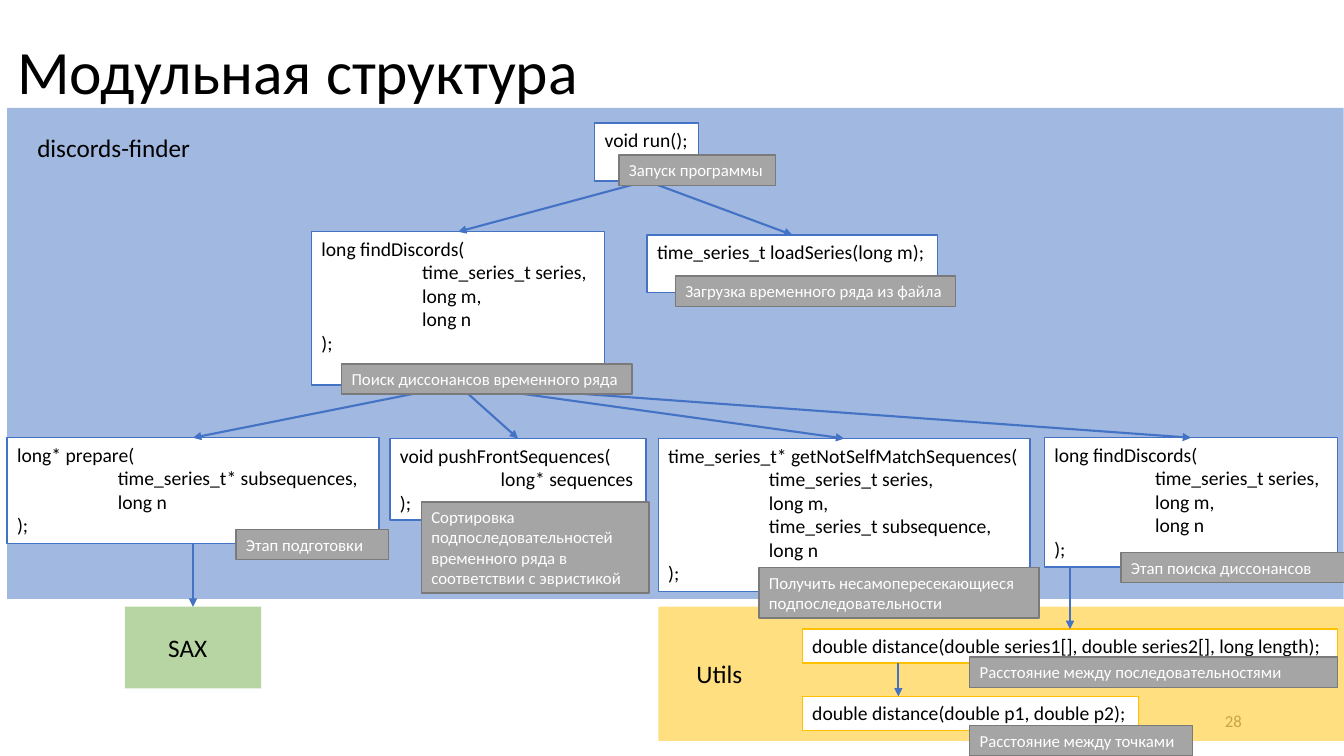
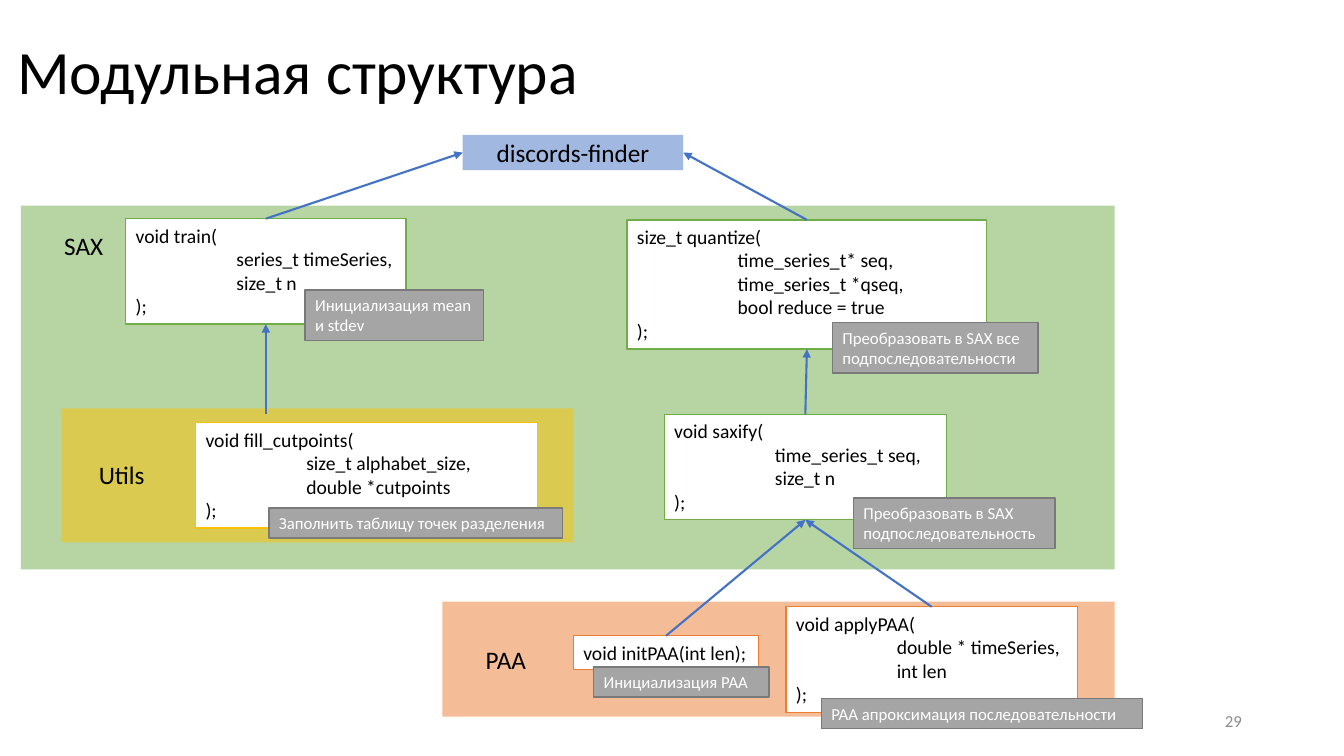
from dataclasses import dataclass

from lxml import etree
from pptx import Presentation
from pptx.dml.color import RGBColor
from pptx.enum.shapes import MSO_CONNECTOR, MSO_SHAPE
from pptx.enum.text import MSO_ANCHOR, PP_ALIGN
from pptx.oxml.ns import qn
from pptx.util import Cm, Pt

RECT = MSO_SHAPE.RECTANGLE
STRAIGHT = MSO_CONNECTOR.STRAIGHT
TOP, MIDDLE = MSO_ANCHOR.TOP, MSO_ANCHOR.MIDDLE
LEFT, CENTER, RIGHT = PP_ALIGN.LEFT, PP_ALIGN.CENTER, PP_ALIGN.RIGHT


@dataclass(frozen=True)
class Theme:
    font: str = "Calibri"
    text: str = "000000"
    paper: str = "FFFFFF"
    blue: str = "4472C4"
    green: str = "70AD47"
    gold: str = "FFC000"
    orange: str = "ED7D31"
    note: str = "A5A5A5"
    note_line: str = "7A7A7A"
    number: str = "8C8C8C"
    title_size: float = 44
    label_size: float = 18
    code_size: float = 14
    note_size: float = 12
    outline: float = 1
    arrow: float = 1.5
    panel_opacity: int = 50


THEME = Theme()
CODE_ROW, CODE_PAD = 0.6, 0.26
NOTE_ROW, NOTE_PAD = 0.51, 0.25
LABEL_H = 1.02
INDENT = Cm(2.54)


def rgb(color):
    return RGBColor.from_string(color)


def write(sp, lines, size, color=THEME.text, align=LEFT, anchor=TOP):
    tf = sp.text_frame
    tf.word_wrap = True
    tf.vertical_anchor = anchor
    for i, line in enumerate(lines):
        p = tf.paragraphs[0] if i == 0 else tf.add_paragraph()
        p.text = line
        p.alignment = align
        p.font.name = THEME.font
        p.font.size = Pt(size)
        p.font.color.rgb = rgb(color)
    return tf.paragraphs


def add_text(slide, box, text, size, **style):
    sp = slide.shapes.add_textbox(*map(Cm, box))
    return write(sp, [text], size, **style)


def add_rect(slide, box, fill, line=None):
    sp = slide.shapes.add_shape(RECT, *map(Cm, box))
    sp.shadow.inherit = False
    sp.fill.solid()
    sp.fill.fore_color.rgb = rgb(fill)
    if line:
        sp.line.color.rgb = rgb(line)
        sp.line.width = Pt(THEME.outline)
    else:
        sp.line.fill.background()
    return sp


def add_panel(slide, box, color):
    """Half-transparent rectangle standing for a module."""
    sp = add_rect(slide, box, color)
    clr = sp.fill._xPr.find(qn("a:solidFill"))[0]
    etree.SubElement(clr, qn("a:alpha"), val=str(THEME.panel_opacity * 1000))
    return sp


def add_arrow(slide, start, end):
    sp = slide.shapes.add_connector(STRAIGHT, *start, *end)
    sp.line.color.rgb = rgb(THEME.blue)
    sp.line.width = Pt(THEME.arrow)
    etree.SubElement(sp.line._get_or_add_ln(), qn("a:tailEnd"), type="triangle")
    etree.SubElement(sp._element.spPr, qn("a:effectLst"))


def top(sp):
    return sp.left + sp.width // 2, sp.top


def bottom(sp):
    return sp.left + sp.width // 2, sp.top + sp.height


def left(sp):
    return sp.left, sp.top + sp.height // 2


def right(sp):
    return sp.left + sp.width, sp.top + sp.height // 2


class Module:
    """A coloured panel whose parts are placed from its top left corner."""

    def __init__(self, slide, box, color, label, label_box):
        self.slide, self.color = slide, color
        self.x, self.y = box[:2]
        add_panel(slide, box, color)
        x, y, w = label_box
        add_text(slide, self.place(x, y, w, LABEL_H), label, THEME.label_size)

    def place(self, x, y, w, h):
        return self.x + x, self.y + y, w, h

    def code(self, x, y, w, head, *args, spare_rows=0):
        """White box with a signature, one indented row per argument."""
        lines = [head, *args, ");"] if args else [head]
        h = CODE_PAD + CODE_ROW * (len(lines) + spare_rows)
        sp = add_rect(self.slide, self.place(x, y, w, h), THEME.paper, self.color)
        for p in write(sp, lines, THEME.code_size)[1:-1]:
            p._p.get_or_add_pPr().set("marL", str(INDENT))
        return sp

    def note(self, x, y, w, text, rows=1):
        box = self.place(x, y, w, NOTE_PAD + NOTE_ROW * rows)
        sp = add_rect(self.slide, box, THEME.note, THEME.note_line)
        write(sp, [text], THEME.note_size, THEME.paper)


def new_slide(prs, number):
    slide = prs.slides.add_slide(prs.slide_layouts[6])
    title = add_text(slide, (0.18, 0.03, 29.21, 3.68), "Модульная структура",
                     THEME.title_size, anchor=MIDDLE)
    title[0].line_spacing = 0.9
    add_text(slide, (23.93, 17.65, 7.62, 1.02), str(number), THEME.note_size,
             color=THEME.number, align=RIGHT, anchor=MIDDLE)
    return slide


def finder_module(slide, box):
    m = Module(slide, box, THEME.blue, "discords-finder", (0.51, 0.48, 4.75))
    search = ("long findDiscords(", "time_series_t series,", "long m,", "long n")
    find = m.code(7.67, 3.12, 7.39, *search, spare_rows=1)
    run = m.code(14.81, 0.38, 2.62, "void run();", spare_rows=1)
    load = m.code(16.13, 3.2, 7.32, "time_series_t loadSeries(long m);", spare_rows=1)
    prepare = m.code(0, 8.31, 9.37, "long* prepare(",
                     "time_series_t* subsequences,", "long n")
    push = m.code(9.65, 8.33, 6.45, "void pushFrontSequences(", "long* sequences")
    match = m.code(16.41, 8.33, 9.37, "time_series_t* getNotSelfMatchSequences(",
                   "time_series_t series,", "long m,",
                   "time_series_t subsequence,", "long n")
    find_step = m.code(26.14, 8.31, 7.39, *search)

    for caller, callees in ((run, (find, load)),
                            (find, (prepare, push, match, find_step))):
        for callee in callees:
            add_arrow(slide, bottom(caller), top(callee))

    m.note(15.42, 1.19, 3.94, "Запуск программы")
    m.note(16.84, 4.24, 7.06, "Загрузка временного ряда из файла")
    m.note(8.43, 6.45, 7.32, "Поиск диссонансов временного ряда")
    m.note(5.77, 10.62, 3.84, "Этап подготовки")
    m.note(10.44, 9.93, 5.74, "Сортировка подпоследовательностей временного ряда "
           "в соответствии с эвристикой", rows=4)
    m.note(18.95, 11.58, 7.06,
           "Получить несамопересекающиеся подпоследовательности", rows=2)
    m.note(28.07, 11.2, 5.74, "Этап поиска диссонансов")
    return prepare, find_step


def distance_module(slide, box):
    m = Module(slide, box, THEME.gold, "Utils", (0.71, 1.17, 1.8))
    series = m.code(3.63, 0.56, 13.49,
                    "double distance(double series1[], double series2[], long length);")
    points = m.code(3.63, 2.26, 8.48, "double distance(double p1, double p2);")
    x = Cm(m.x + 6.05)
    add_arrow(slide, (x, bottom(series)[1]), (x, top(points)[1]))
    m.note(7.85, 3, 5.61, "Расстояние между точками")
    m.note(7.85, 1.27, 9.27, "Расстояние между последовательностями")
    return series


def sax_module(slide, box):
    return Module(slide, box, THEME.green, "SAX", (0.84, 0.51, 1.8))


def sax_details(slide, box):
    m = sax_module(slide, box)
    train = m.code(2.64, 0.33, 7.06, "void train(", "series_t timeSeries,", "size_t n")
    saxify = m.code(16.21, 5.26, 7.11, "void saxify(", "time_series_t seq,", "size_t n")
    quantize = m.code(15.27, 0.36, 9.07, "size_t quantize(", "time_series_t* seq,",
                      "time_series_t *qseq,", "bool reduce = true")
    add_arrow(slide, top(saxify), bottom(quantize))
    m.note(7.16, 2.13, 4.5, "Инициализация mean и stdev", rows=2)
    m.note(20.45, 2.95, 5.18, "Преобразовать в SAX все подпоследовательности", rows=2)
    m.note(20.98, 7.37, 5.08, "Преобразовать в SAX подпоследовательность", rows=2)
    return train, saxify, quantize


def cutpoints_module(slide, box):
    m = Module(slide, box, THEME.gold, "Utils", (0.69, 1.17, 1.8))
    m.code(3.38, 0.36, 8.61, "void fill_cutpoints(",
           "size_t alphabet_size,", "double *cutpoints")
    m.note(5.23, 2.51, 7.39, "Заполнить таблицу точек разделения")
    return Cm(m.y + 0.15)


def paa_module(slide, box):
    m = Module(slide, box, THEME.orange, "PAA", (0.84, 0.94, 1.8))
    init = m.code(3.3, 0.86, 4.67, "void initPAA(int len);")
    apply = m.code(8.66, 0.13, 7.34, "void applyPAA(", "double * timeSeries,", "int len")
    m.note(3.81, 1.65, 4.42, "Инициализация PAA")
    m.note(9.55, 2.44, 8.1, "PAA апроксимация последовательности")
    return init, apply


def finder_slide(prs):
    slide = new_slide(prs, 28)
    series = distance_module(slide, (16.59, 15.29, 17.28, 3.38))
    sax_module(slide, (3.15, 15.29, 3.43, 2.06))
    prepare, find_step = finder_module(slide, (0.18, 2.72, 33.68, 12.37))
    x, y = bottom(prepare)
    add_arrow(slide, (x, y), (x, Cm(15.29)))
    x, y = top(series)
    add_arrow(slide, (x, bottom(find_step)[1]), (x, y))


def sax_slide(prs):
    slide = new_slide(prs, 29)
    train, saxify, quantize = sax_details(slide, (0.53, 5.18, 27.56, 9.17))
    utils_y = cutpoints_module(slide, (1.55, 10.29, 12.9, 3.38))
    init, apply = paa_module(slide, (11.15, 15.16, 16.94, 2.9))
    finder = add_panel(slide, (11.66, 3.4, 5.56, 0.89), THEME.blue)
    write(finder, ["discords-finder"], THEME.label_size, align=CENTER, anchor=MIDDLE)

    x, y = bottom(train)
    add_arrow(slide, (x, utils_y), (x, y))
    for source in (init, apply):
        add_arrow(slide, top(source), bottom(saxify))
    add_arrow(slide, top(train), left(finder))
    add_arrow(slide, top(quantize), right(finder))


def main():
    prs = Presentation()
    prs.slide_width, prs.slide_height = Cm(33.87), Cm(19.05)
    finder_slide(prs)
    sax_slide(prs)
    prs.save("out.pptx")


if __name__ == "__main__":
    main()
